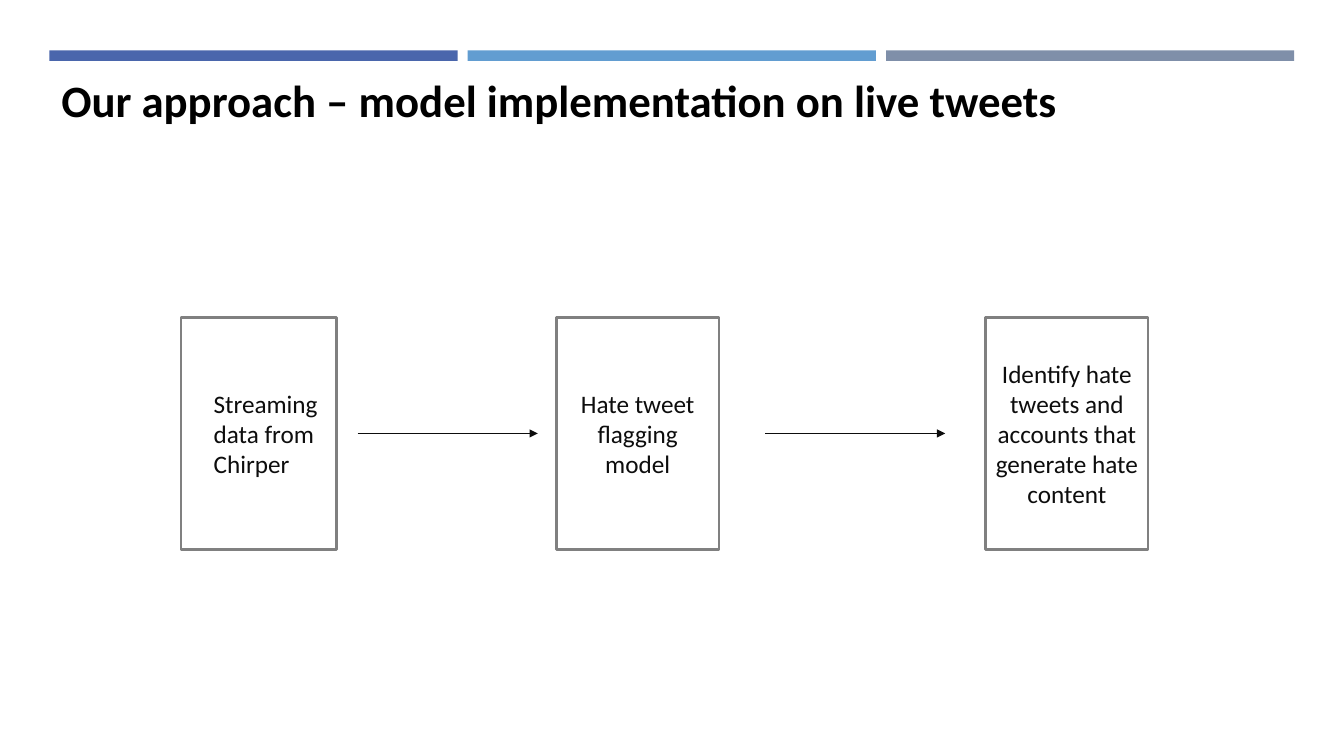
import pptx
import pptx.util
import pptx.dml.color
import pptx.enum.shapes
import pptx.enum.text
import pptx.oxml.ns
import lxml.etree

Pt = pptx.util.Pt
ALIGN = pptx.enum.text.PP_ALIGN
ANCHOR = pptx.enum.text.MSO_ANCHOR
INK = "0D0D0D"


def color(hex_code):
    return pptx.dml.color.RGBColor.from_string(hex_code)


def write(holder, wording, size, ink, bold=False, align=ALIGN.LEFT, anchor=ANCHOR.TOP):
    frame = holder.text_frame
    frame.word_wrap = True
    frame.vertical_anchor = anchor
    frame.text = wording
    paragraph = frame.paragraphs[0]
    paragraph.alignment = align
    font = paragraph.runs[0].font
    font.name = "Calibri"
    font.size = Pt(size)
    font.bold = bold
    font.color.rgb = color(ink)


def add_rectangle(slide, left, top, width, height):
    rectangle = slide.shapes.add_shape(
        pptx.enum.shapes.MSO_SHAPE.RECTANGLE, Pt(left), Pt(top), Pt(width), Pt(height))
    rectangle.shadow.inherit = False
    return rectangle


def add_label(slide, wording, left, top, width, height, size, ink, bold=False):
    label = slide.shapes.add_textbox(Pt(left), Pt(top), Pt(width), Pt(height))
    write(label, wording, size, ink, bold)


def add_header_bars(slide, left, top, width, height):
    fills = ["4A66AC", "629DD1", "7F8FA9"]
    gap = 7.2
    bar_width = (width - gap * (len(fills) - 1)) / len(fills)
    for position, fill in enumerate(fills):
        bar = add_rectangle(slide, left + position * (bar_width + gap), top, bar_width, height)
        bar.fill.solid()
        bar.fill.fore_color.rgb = color(fill)
        bar.line.fill.background()


def add_stage(slide, left, top, width, height):
    stage = add_rectangle(slide, left, top, width, height)
    stage.fill.background()
    stage.line.color.rgb = color("808080")
    stage.line.width = Pt(1.75)
    return stage


def add_arrow(slide, left, middle, length):
    arrow = slide.shapes.add_connector(
        pptx.enum.shapes.MSO_CONNECTOR.STRAIGHT,
        Pt(left), Pt(middle), Pt(left + length), Pt(middle))
    arrow.line.color.rgb = color(INK)
    arrow.line.width = Pt(1)
    qn = pptx.oxml.ns.qn
    lxml.etree.SubElement(arrow.line._get_or_add_ln(), qn("a:tailEnd"), type="triangle")
    lxml.etree.SubElement(arrow._element.spPr, qn("a:effectLst"))


def add_pipeline(slide, left, top, width, height):
    stage_width = 116
    add_stage(slide, left, top, 111, height)
    add_label(slide, "Streaming data from Chirper", left + 16, top + 46.8, 111.6, 72.7, 18, INK)
    stages = [
        (left + 268, "Hate tweet flagging model"),
        (left + width - stage_width,
         "Identify hate tweets and accounts that generate hate content"),
    ]
    for stage_left, wording in stages:
        stage = add_stage(slide, stage_left, top, stage_width, height)
        write(stage, wording, 18, INK, align=ALIGN.CENTER, anchor=ANCHOR.MIDDLE)
    for offset in (126, 417):
        add_arrow(slide, left + offset, top + height / 2, 128.7)


def main():
    deck = pptx.Presentation()
    deck.slide_width = Pt(960)
    deck.slide_height = Pt(540)
    slide = deck.slides.add_slide(deck.slide_layouts[6])
    add_header_bars(slide, 35.3, 36, 889.2, 7.5)
    add_label(slide, "Our approach – model implementation on live tweets",
              36.7, 48.2, 904.3, 46, 32, "000000", bold=True)
    add_pipeline(slide, 129.5, 226.8, 690.6, 165.6)
    deck.save("out.pptx")


if __name__ == "__main__":
    main()
